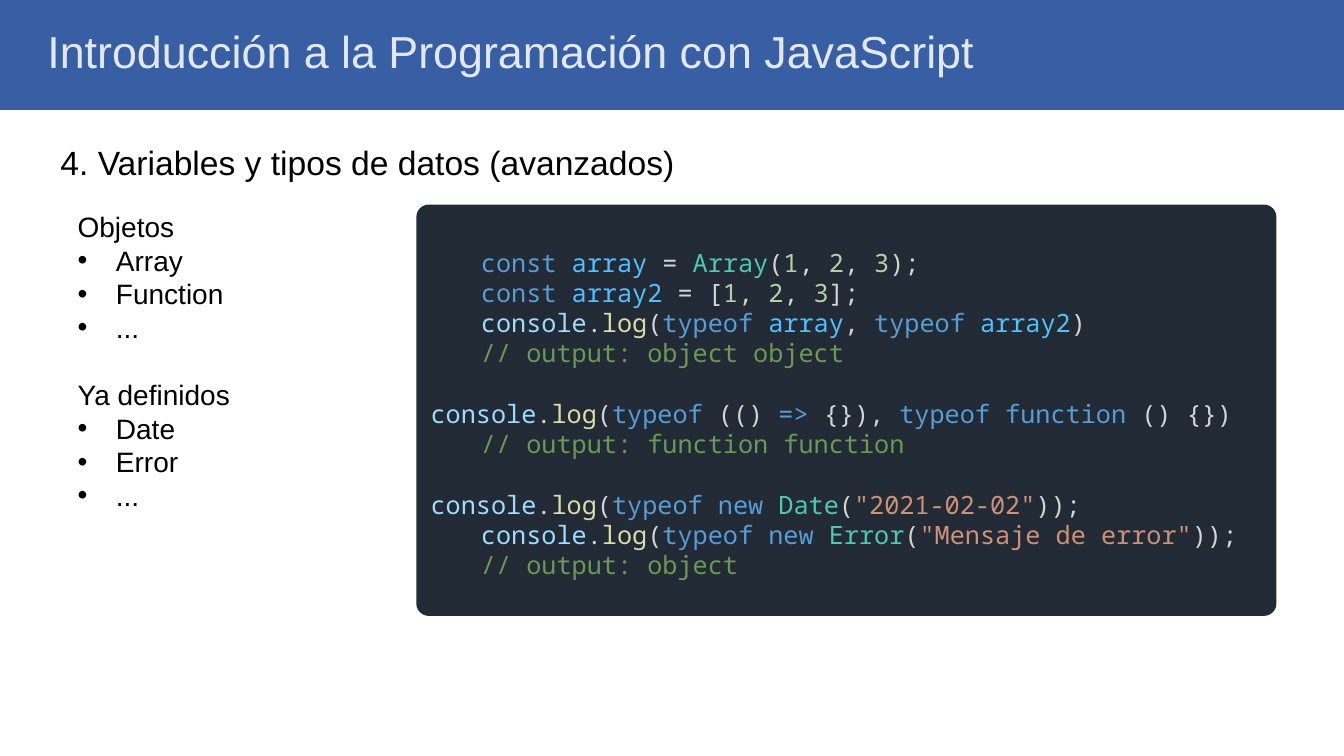
import dataclasses
import typing

import lxml.etree
import pptx
import pptx.dml.color
import pptx.enum.shapes
import pptx.enum.text
import pptx.oxml.ns
import pptx.util

Inches = pptx.util.Inches
qn = pptx.oxml.ns.qn

COLORS = {
    "banner": "385FA4",
    "white": "FFFFFF",
    "text": "000000",
    "panel": "222A35",
    "keyword": "569CD6",
    "constant": "4FC1FF",
    "plain": "D4D4D4",
    "class": "4EC9B0",
    "number": "B5CEA8",
    "object": "9CDCFE",
    "function": "DCDCAA",
    "comment": "6A9955",
    "string": "CE9178",
}
LINE_HEIGHT = 1.2
CODE_SIZE = 18
LIST_SIZE = 20


class Token(typing.NamedTuple):
    text: str
    color: str


@dataclasses.dataclass(frozen=True)
class Line:
    tokens: tuple[Token, ...]
    margin: float = 0
    indent: float = 0
    bullet: bool = False
    gap: float = 0


class Topic(typing.NamedTuple):
    heading: str
    items: tuple[str, ...]


TOPICS = (
    Topic("Objetos", ("Array", "Function", "...")),
    Topic("Ya definidos", ("Date", "Error", "...")),
)

ONE_TWO_THREE = (
    Token("1", "number"),
    Token(", ", "plain"),
    Token("2", "number"),
    Token(", ", "plain"),
    Token("3", "number"),
)
LOG_CALL = (
    Token("console", "object"),
    Token(".", "plain"),
    Token("log", "function"),
    Token("(", "plain"),
)


def code(*tokens: Token) -> Line:
    return Line(tokens, indent=0.5)


def code_after_gap(*tokens: Token) -> Line:
    return Line(tokens, gap=CODE_SIZE * LINE_HEIGHT)


def comment(text: str) -> Line:
    return code(Token(text, "comment"))


def log_new(class_name: str, argument: str) -> tuple[Token, ...]:
    return (
        *LOG_CALL,
        Token("typeof new ", "keyword"),
        Token(class_name, "class"),
        Token("(", "plain"),
        Token(argument, "string"),
        Token("));", "plain"),
    )


CODE_LINES = (
    code(
        Token("const ", "keyword"),
        Token("array", "constant"),
        Token(" = ", "plain"),
        Token("Array", "class"),
        Token("(", "plain"),
        *ONE_TWO_THREE,
        Token(");", "plain"),
    ),
    code(
        Token("const ", "keyword"),
        Token("array2", "constant"),
        Token(" = [", "plain"),
        *ONE_TWO_THREE,
        Token("];", "plain"),
    ),
    code(
        *LOG_CALL,
        Token("typeof ", "keyword"),
        Token("array", "constant"),
        Token(", ", "plain"),
        Token("typeof ", "keyword"),
        Token("array2", "constant"),
        Token(")", "plain"),
    ),
    comment("// output: object object"),
    code_after_gap(
        *LOG_CALL,
        Token("typeof", "keyword"),
        Token(" (() ", "plain"),
        Token("=>", "keyword"),
        Token(" {}), ", "plain"),
        Token("typeof function", "keyword"),
        Token(" () {})", "plain"),
    ),
    comment("// output: function function"),
    code_after_gap(*log_new("Date", '"2021-02-02"')),
    code(*log_new("Error", '"Mensaje de error"')),
    comment("// output: object"),
)


def topic_lines(topics: tuple[Topic, ...]) -> list[Line]:
    lines = []
    for topic in topics:
        gap = LIST_SIZE * LINE_HEIGHT if lines else 0
        lines.append(Line((Token(topic.heading, "text"),), gap=gap))
        for item in topic.items:
            lines.append(Line((Token(item, "text"),), margin=0.38, indent=-0.38, bullet=True))
    return lines


def write_text(shape, lines: typing.Iterable[Line], *, size: float, font: str = "Arial",
               inset: float = 0.05, top_inset: float | None = None, wrap: bool = True,
               spacing: float = 1, opacity: int = 100) -> None:
    frame = shape.text_frame
    frame.word_wrap = wrap
    frame.auto_size = pptx.enum.text.MSO_AUTO_SIZE.NONE
    frame.vertical_anchor = pptx.enum.text.MSO_ANCHOR.TOP
    frame.margin_left = frame.margin_right = frame.margin_bottom = Inches(inset)
    frame.margin_top = Inches(inset if top_inset is None else top_inset)
    for index, line in enumerate(lines):
        paragraph = frame.add_paragraph() if index else frame.paragraphs[0]
        paragraph.alignment = pptx.enum.text.PP_ALIGN.LEFT
        paragraph.line_spacing = pptx.util.Pt(size * LINE_HEIGHT * spacing)
        paragraph.space_before = pptx.util.Pt(line.gap)
        properties = paragraph._p.get_or_add_pPr()
        properties.set("marL", str(Inches(line.margin)))
        properties.set("indent", str(Inches(line.indent)))
        if line.bullet:
            lxml.etree.SubElement(properties, qn("a:buFont"), typeface="Arial")
            lxml.etree.SubElement(properties, qn("a:buChar"), char="•")
        for token in line.tokens:
            run = paragraph.add_run()
            run.text = token.text
            run.font.name = font
            run.font.size = pptx.util.Pt(size)
            run.font.color.rgb = pptx.dml.color.RGBColor.from_string(COLORS[token.color])
            if opacity < 100:
                color = run._r.find(".//" + qn("a:srgbClr"))
                lxml.etree.SubElement(color, qn("a:alpha"), val=str(opacity * 1000))


def add_block(shapes, kind, color: str, left: float, top: float, width: float, height: float):
    shape = shapes.add_shape(kind, Inches(left), Inches(top), Inches(width), Inches(height))
    shape.shadow.inherit = False
    shape.fill.solid()
    shape.fill.fore_color.rgb = pptx.dml.color.RGBColor.from_string(COLORS[color])
    shape.line.fill.background()
    return shape


def add_box(shapes, left: float, top: float, width: float, height: float):
    return shapes.add_textbox(Inches(left), Inches(top), Inches(width), Inches(height))


def main() -> None:
    kinds = pptx.enum.shapes.MSO_SHAPE
    presentation = pptx.Presentation()
    presentation.slide_width, presentation.slide_height = Inches(13.33), Inches(7.5)
    slide = presentation.slides.add_slide(presentation.slide_layouts[5])
    shapes = slide.shapes

    heading = add_box(shapes, 0.55, 1.36, 6.23, 0.49)
    write_text(heading, [Line((Token("4. Variables y tipos de datos (avanzados)", "text"),))],
               size=24, wrap=False)
    write_text(add_box(shapes, 0.72, 2.03, 6.47, 3.1), topic_lines(TOPICS), size=LIST_SIZE)

    code_group = shapes.add_group_shape()
    panel = add_block(code_group.shapes, kinds.ROUNDED_RECTANGLE, "panel", 4.13, 2.03, 8.53, 4.08)
    panel.adjustments[0] = 0.03
    write_text(add_box(code_group.shapes, 4.22, 2.07, 8.35, 3.56), CODE_LINES,
               size=CODE_SIZE, font="Noto Sans Mono", top_inset=0.38)

    banner = add_block(shapes, kinds.RECTANGLE, "banner", 0, 0, 13.33, 1.08)
    banner.line.color.rgb = pptx.dml.color.RGBColor.from_string(COLORS["banner"])
    banner.line.width = pptx.util.Pt(2)

    title = shapes.title
    title.left, title.top = Inches(0.34), Inches(0.16)
    title.width, title.height = Inches(10.16), Inches(0.78)
    write_text(title, [Line((Token("Introducción a la Programación con JavaScript", "white"),))],
               size=32, inset=0.13, spacing=0.9, opacity=85)
    banner.element.addnext(title.element)

    presentation.save("out.pptx")


if __name__ == "__main__":
    main()
